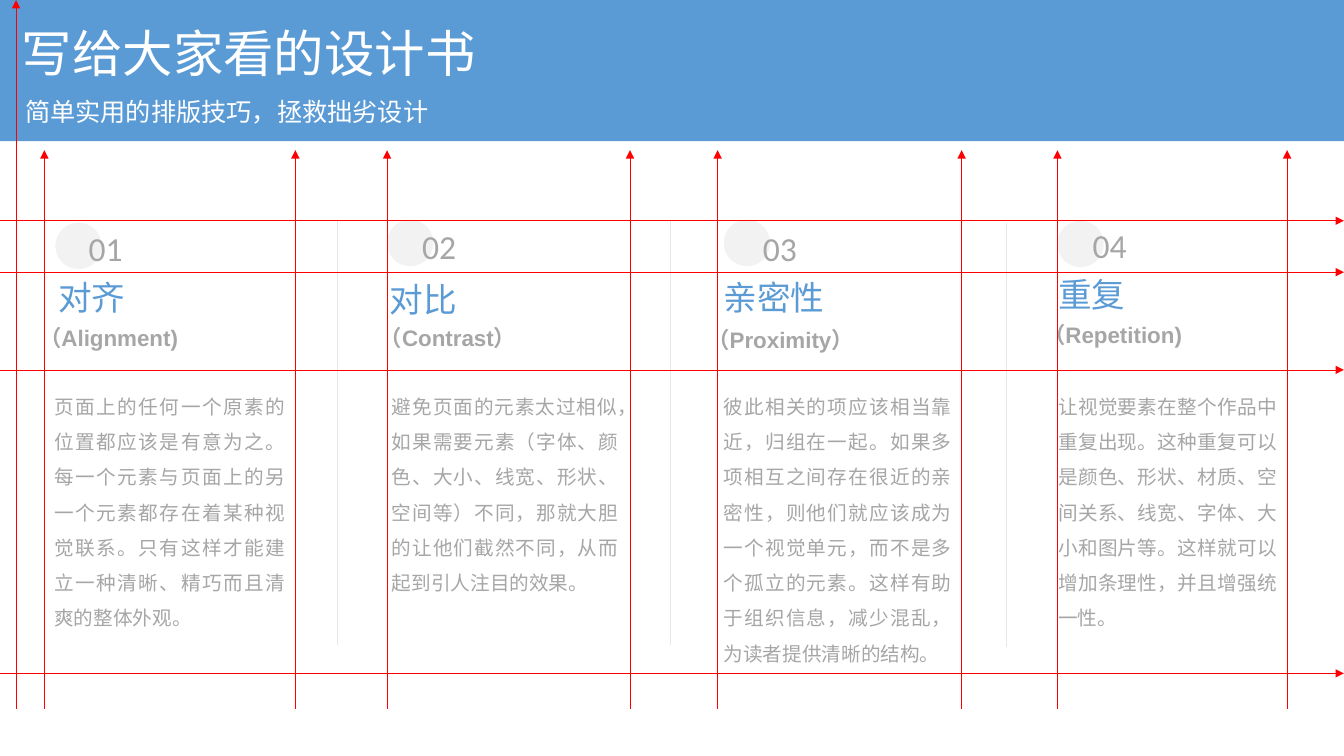
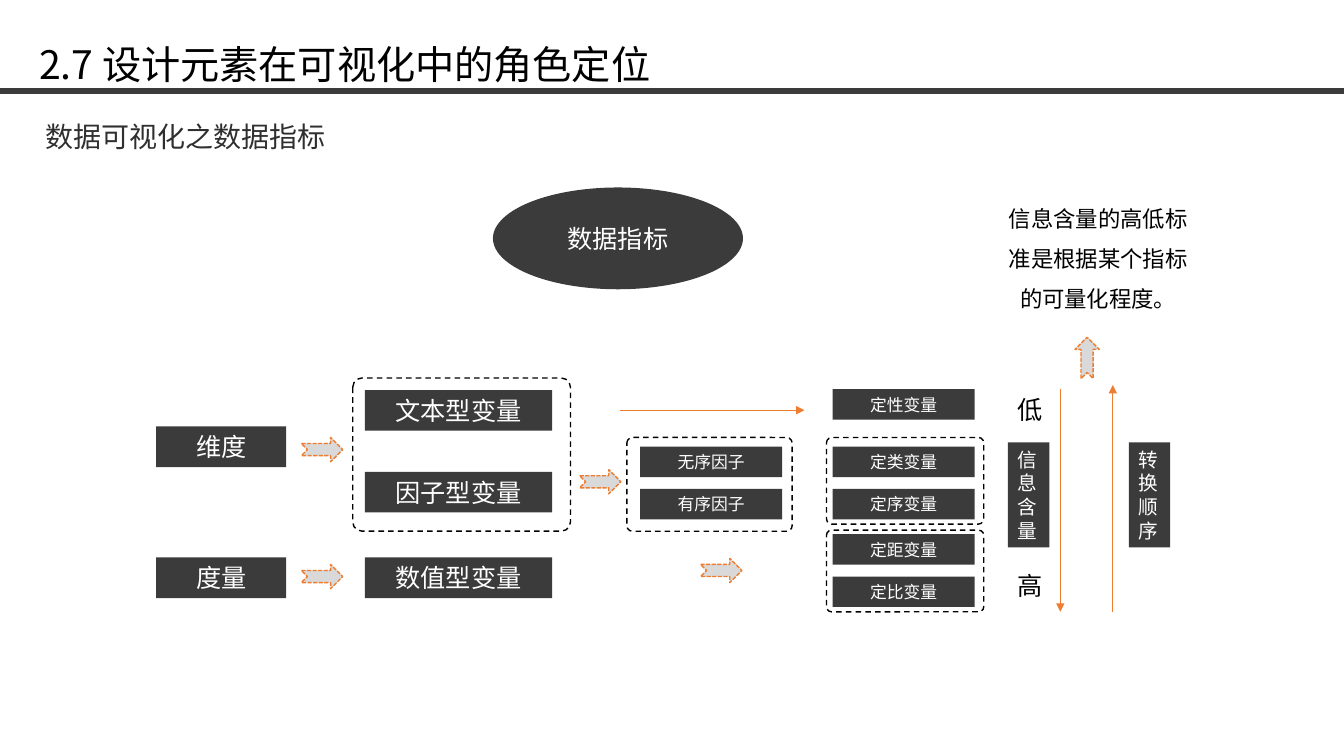
from lxml import etree
from pptx import Presentation
from pptx.dml.color import RGBColor
from pptx.enum.dml import MSO_LINE
from pptx.enum.shapes import MSO_CONNECTOR, MSO_SHAPE
from pptx.enum.text import MSO_ANCHOR, PP_ALIGN
from pptx.oxml.ns import qn
from pptx.util import Pt

RECT, ELLIPSE, ROUNDED = MSO_SHAPE.RECTANGLE, MSO_SHAPE.OVAL, MSO_SHAPE.ROUNDED_RECTANGLE
NOTCHED = MSO_SHAPE.NOTCHED_RIGHT_ARROW
DASH, SHORT_DASH = MSO_LINE.DASH, MSO_LINE.SQUARE_DOT
LEFT, CENTER, JUSTIFY = PP_ALIGN.LEFT, PP_ALIGN.CENTER, PP_ALIGN.JUSTIFY
TOP, MIDDLE = MSO_ANCHOR.TOP, MSO_ANCHOR.MIDDLE
STRAIGHT = MSO_CONNECTOR.STRAIGHT

WIDTH, HEIGHT = 960, 540
CJK = "Noto Sans CJK SC"
COLORS = {
    "blue": "5B9BD5", "white": "FFFFFF", "black": "000000", "gray": "A6A6A6",
    "disc": "F2F2F2", "divider": "E7E7E7", "guide": "FF0000", "dark": "3B3B3B",
    "subtitle": "2F2F2F", "orange": "ED7D31", "arrow": "D9D9D9",
}

PRINCIPLES = [
    {"number": "01", "heading": "对齐", "english": "（Alignment)",
     "body": "页面上的任何一个原素的位置都应该是有意为之。每一个元素与页面上的另一个元素都存在着某种视觉联系。"
             "只有这样才能建立一种清晰、精巧而且清爽的整体外观。",
     "disc_at": (39.6, 159.1), "number_at": (56.2, 159.1), "heading_at": (34.6, 194.4),
     "english_at": (20.9, 228.2), "body_span": (31.7, 179.3)},
    {"number": "02", "heading": "对比", "english": "（Contrast）",
     "body": "避免页面的元素太过相似，如果需要元素（字体、颜色、大小、线宽、形状、空间等）不同，"
             "那就大胆的让他们截然不同，从而起到引人注目的效果。",
     "disc_at": (276.5, 157), "number_at": (294.5, 157.7), "heading_at": (271.4, 195.8),
     "english_at": (264.2, 228.2), "body_span": (272.9, 175.7)},
    {"number": "03", "heading": "亲密性", "english": "（Proximity）",
     "body": "彼此相关的项应该相当靠近，归组在一起。如果多项相互之间存在很近的亲密性，则他们就应该成为一个视觉单元，"
             "而不是多个孤立的元素。这样有助于组织信息，减少混乱，为读者提供清晰的结构。",
     "disc_at": (517, 157), "number_at": (537.8, 159.1), "heading_at": (509.8, 194.4),
     "english_at": (498.2, 229.7), "body_span": (509.8, 177.1)},
    {"number": "04", "heading": "重复", "english": "（Repetition)",
     "body": "让视觉要素在整个作品中重复出现。这种重复可以是颜色、形状、材质、空间关系、线宽、字体、大小和图片等。"
             "这样就可以增加条理性，并且增强统一性。",
     "disc_at": (755.3, 157.7), "number_at": (773.3, 157), "heading_at": (748.8, 192.2),
     "english_at": (738, 226.1), "body_span": (748.8, 170.6)},
]
DIVIDERS = [(241.2, 157.7), (478.8, 157.7), (718.6, 159.1)]
GUIDE_ROWS = [157.7, 194.4, 264.2, 481]
GUIDE_COLUMNS = [31.7, 211, 276.5, 450, 512.6, 686.9, 755.3, 919.4]

BAR_GROUPS = [
    (111.6, 92.9, 29, 18, [("维度", 304.6), ("度量", 398.2)]),
    (260.6, 133.9, 29, 18, [("文本型变量", 278.6), ("因子型变量", 337), ("数值型变量", 398.2)]),
    (457.2, 101.5, 21.8, 12, [("无序因子", 319), ("有序因子", 349.2)]),
    (594.7, 101.5, 21.8, 12, [("定性变量", 277.9), ("定类变量", 319), ("定序变量", 349.2),
                              ("定距变量", 381.6), ("定比变量", 411.8)]),
]
VERTICAL_BARS = [("信息含量", 720), ("转换顺序", 806.4)]
DASHED_FRAMES = [(252, 270, 155.5, 109.4), (447.8, 312.5, 118.1, 67),
                 (590.4, 312.5, 112.3, 61.9), (590.4, 378.7, 112.3, 58.3)]
BLOCK_ARROWS = [(215.3, 312.5, 0), (215.3, 403.2, 0), (414, 335.5, 0),
                (500.4, 398.9, 0), (761.8, 247, 270)]
THIN_ARROWS = [(442.8, 293, 574.6, 293), (757.4, 277.9, 757.4, 437), (794.9, 437, 794.9, 275)]
LEVELS = [("低", 277.9), ("高", 403.9)]


def rgb(name):
    return RGBColor.from_string(COLORS[name])


def write(shape, text, size, color, align=LEFT, font=CJK, bold=False, spacing=None, anchor=TOP):
    frame = shape.text_frame
    frame.word_wrap = True
    frame.vertical_anchor = anchor
    frame.text = text
    paragraph = frame.paragraphs[0]
    paragraph.alignment = align
    if spacing:
        paragraph.line_spacing = spacing
    run = paragraph.runs[0]
    run.font.size = Pt(size)
    run.font.bold = bold
    run.font.color.rgb = rgb(color)
    run.font.name = font
    east_asian = etree.SubElement(run.font._element, qn("a:ea"))
    east_asian.set("typeface", CJK)


def add_text(slide, box, text, size, color, **style):
    write(slide.shapes.add_textbox(*map(Pt, box)), text, size, color, **style)


def add_block(slide, kind, box, fill=None, line=None, dash=None):
    block = slide.shapes.add_shape(kind, *map(Pt, box))
    block.shadow.inherit = False
    if fill:
        block.fill.solid()
        block.fill.fore_color.rgb = rgb(fill)
    else:
        block.fill.background()
    if line:
        block.line.color.rgb = rgb(line)
        block.line.width = Pt(1)
        block.line.dash_style = dash
    else:
        block.line.fill.background()
    return block


def add_bar(slide, box, text, size, align=CENTER):
    bar = add_block(slide, RECT, box, "dark")
    write(bar, text, size, "white", align=align, anchor=MIDDLE)


def add_line(slide, ends, color, width=0.5, arrow=False):
    line = slide.shapes.add_connector(STRAIGHT, *map(Pt, ends))
    line.line.color.rgb = rgb(color)
    line.line.width = Pt(width)
    if arrow:
        head = etree.SubElement(line.line._get_or_add_ln(), qn("a:tailEnd"))
        head.set("type", "triangle")
    etree.SubElement(line._element.spPr, qn("a:effectLst"))


def build_principles(slide):
    add_block(slide, RECT, (0, 0, WIDTH, 100.8), "blue")
    add_text(slide, (8.6, 12.2, 355.7, 51), "写给大家看的设计书", 36, "white", align=JUSTIFY)
    add_text(slide, (10.8, 65.5, 344.9, 29), "简单实用的排版技巧，拯救拙劣设计", 18, "white", align=JUSTIFY)
    for x, top in DIVIDERS:
        add_line(slide, (x, top, x, top + 303.1), "divider")
    for item in PRINCIPLES:
        add_block(slide, ELLIPSE, (*item["disc_at"], 33.1, 33.1), "disc")
        add_text(slide, (*item["number_at"], 49, 36), item["number"], 24, "gray", font="Calibri")
        add_text(slide, (*item["heading_at"], 106.6, 36), item["heading"], 24, "blue")
        add_text(slide, (*item["english_at"], 155.5, 26.6), item["english"], 16, "gray",
                 font="Arial", bold=True)
        left, width = item["body_span"]
        add_text(slide, (left, 270, width, 211), item["body"], 14, "gray", align=JUSTIFY, spacing=1.5)
    for y in GUIDE_ROWS:
        add_line(slide, (0, y, WIDTH, y), "guide", arrow=True)
    for x, top in [(x, 107.3) for x in GUIDE_COLUMNS] + [(11.5, 0)]:
        add_line(slide, (x, 506.2, x, top), "guide", arrow=True)


def build_indicators(slide):
    add_text(slide, (20.9, -8.6, 502.6, 64.8), "2.7 设计元素在可视化中的角色定位", 28, "black", spacing=2)
    add_line(slide, (0, 64.8, WIDTH, 64.8), "dark", 4.5)
    add_text(slide, (25.2, 82.1, 240, 31.7), "数据可视化之数据指标", 20, "subtitle")
    indicator = add_block(slide, ELLIPSE, (352.1, 133.9, 178.6, 72.7), "dark")
    write(indicator, "数据指标", 18, "white", align=CENTER, anchor=MIDDLE)
    for left, width, height, size, bars in BAR_GROUPS:
        for label, top in bars:
            add_bar(slide, (left, top, width, height), label, size)
    for label, left in VERTICAL_BARS:
        add_bar(slide, (left, 316.1, 29.5, 74.9), label, 14, LEFT)
    for box in DASHED_FRAMES:
        add_block(slide, ROUNDED, box, line="black", dash=DASH).adjustments[0] = 0.06
    for left, top, angle in BLOCK_ARROWS:
        arrow = add_block(slide, NOTCHED, (left, top, 29.5, 17.3), "arrow", "orange", SHORT_DASH)
        arrow.rotation = angle
    for ends in THIN_ARROWS:
        add_line(slide, ends, "orange", arrow=True)
    for label, top in LEVELS:
        add_text(slide, (720, top, 32.5, 29), label, 18, "black")
    add_text(slide, (712.8, 133.2, 143.3, 91.4), "信息含量的高低标准是根据某个指标的可量化程度。",
             16, "black", align=CENTER, spacing=1.5)


def main():
    deck = Presentation()
    deck.slide_width, deck.slide_height = Pt(WIDTH), Pt(HEIGHT)
    for build in (build_principles, build_indicators):
        build(deck.slides.add_slide(deck.slide_layouts[6]))
    deck.save("out.pptx")


if __name__ == "__main__":
    main()
